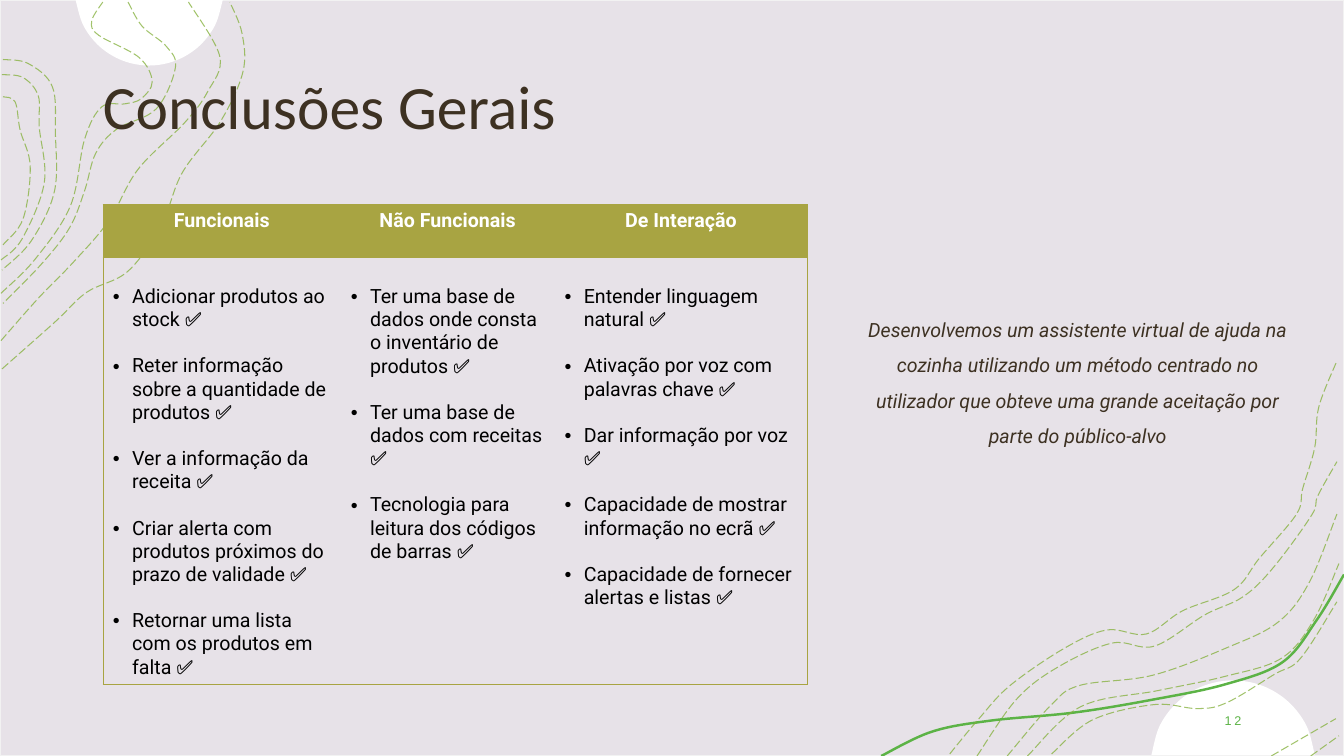
from math import asin, cos, sin

from lxml.etree import SubElement
from pptx import Presentation
from pptx.dml.color import RGBColor
from pptx.enum.dml import MSO_LINE
from pptx.enum.shapes import MSO_SHAPE
from pptx.enum.text import MSO_ANCHOR, MSO_AUTO_SIZE, PP_ALIGN
from pptx.oxml.ns import qn
from pptx.util import Inches, Pt

COLUMNS, ROWS = 13.33, 7.5
CELL = Inches(1)
LILAC, OLIVE, GREEN, LEAF = "E7E2E8", "A8A442", "5CB346", "83B03A"
BROWN, BLACK, WHITE, FRAME = "3D3122", "000000", "FFFFFF", "F2F2F2"

TOP_LEFT_CONTOURS = [
    [(0.02, 3.66), (0.55, 3.19), (0.86, 2.9), (1.27, 2.69), (1.6, 2.23), (1.81, 1.71), (2.19, 1.2),
     (2.41, 0.71), (2.4, 0.33), (2.28, 0.02)],
    [(0.01, 3.38), (0.38, 2.96), (0.73, 2.6), (1.08, 2.19), (1.37, 1.68), (1.83, 1.22), (2.06, 0.91),
     (2.18, 0.56), (1.87, 0.02)],
    [(1.27, 0.02), (1.41, 0.26), (1.65, 0.46), (1.74, 0.67), (1.55, 1.08), (1.16, 1.28), (0.95, 1.52),
     (0.84, 1.89), (0.69, 2.26), (0.42, 2.61), (0.03, 3.01)],
    [(0.01, 2.91), (0.35, 2.57), (0.7, 2.04), (0.84, 1.38), (1.01, 1.06), (1.24, 1.03), (1.4, 0.98),
     (1.51, 0.81), (1.38, 0.57), (0.98, 0.35), (0.91, 0.21), (1.02, 0.02)],
    [(0.03, 0.59), (0.28, 0.63), (0.52, 0.86), (0.55, 1.32), (0.54, 1.9), (0.31, 2.39), (0.02, 2.68)],
    [(0.02, 0.74), (0.23, 0.77), (0.38, 0.95), (0.39, 1.26), (0.44, 1.81), (0.22, 2.37), (0.01, 2.58)],
    [(0.03, 0.96), (0.15, 1.01), (0.2, 1.29), (0.3, 1.65), (0.23, 2.17), (0.03, 2.43)],
]
BOTTOM_RIGHT_CONTOURS = [
    [(9.42, 7.48), (9.71, 7.13), (10.02, 6.8), (10.56, 6.43), (10.98, 6.25), (11.37, 6.29), (11.73, 6.06),
     (12.24, 5.85), (12.49, 5.54), (12.86, 5.1), (12.92, 4.85), (13.04, 4.44), (13.08, 4.04), (13.26, 3.58)],
    [(9.69, 7.5), (10.08, 6.94), (10.49, 6.62), (11.03, 6.38), (11.45, 6.41), (11.95, 6.1), (12.33, 5.92),
     (12.63, 5.63), (13.01, 5.11), (13.07, 4.92), (13.26, 4.58)],
    [(13, 7.5), (13.28, 7.3)],
    [(12.61, 7.5), (13.25, 7.13)],
    [(10.43, 7.48), (10.84, 7.14), (11.45, 6.99), (11.88, 7.03), (12.17, 6.97), (12.64, 6.69),
     (12.9, 6.53), (13.26, 5.97)],
    [(10.19, 7.5), (10.72, 7.01), (11.49, 6.85), (12.15, 6.71), (12.71, 6.53), (13.03, 6.15), (13.28, 5.59)],
    [(9.99, 7.5), (10.42, 7), (10.71, 6.8), (11.43, 6.7), (12.16, 6.43), (12.68, 6.17), (12.99, 5.77),
     (13.26, 5.1)],
]
STEM = [(8.74, 7.5), (9.24, 7.26), (9.82, 7.15), (10.65, 7.07), (11.44, 6.94), (12.15, 6.79),
        (12.72, 6.57), (13.06, 6.15), (13.33, 5.7)]

REQUIREMENTS = [
    ("Funcionais", 2.36, [
        "Adicionar produtos ao stock ✅",
        "Reter informação sobre a quantidade de produtos ✅",
        "Ver a informação da receita ✅",
        "Criar alerta com produtos próximos do prazo de validade ✅",
        "Retornar uma lista com os produtos em falta ✅"]),
    ("Não Funcionais", 2.12, [
        "Ter uma base de dados onde consta o inventário de produtos ✅",
        "Ter uma base de dados com receitas ✅",
        "Tecnologia para leitura dos códigos de barras ✅"]),
    ("De Interação", 2.51, [
        "Entender linguagem natural ✅",
        "Ativação por voz com palavras chave ✅",
        "Dar informação por voz ✅",
        "Capacidade de mostrar informação no ecrã ✅",
        "Capacidade de fornecer alertas e listas ✅"]),
]
SUMMARY = ("Desenvolvemos um assistente virtual de ajuda na cozinha utilizando um método centrado no "
           "utilizador que obteve uma grande aceitação por parte do público-alvo")


def grid(*cells):
    return [int(cell * CELL) for cell in cells]


def paint(target, color):
    target.solid()
    target.fore_color.rgb = RGBColor.from_string(color)


def write(paragraph, text, size, font, color, bold=False, italic=False):
    run = paragraph.add_run()
    run.text = text
    run.font.size, run.font.name = Pt(size), font
    run.font.bold, run.font.italic = bold, italic
    paint(run.font.fill, color)
    return run


def bend(shape):
    anchors = [(int(point.get("x")), int(point.get("y"))) for point in shape._element.iter(qn("a:pt"))]
    padded = [anchors[0], *anchors, anchors[-1]]
    segments = list(shape._element.iter(qn("a:lnTo")))
    for segment, a, b, c, d in zip(segments, padded, padded[1:], padded[2:], padded[3:]):
        leaving = [q + (r - p) // 6 for p, q, r in zip(a, b, c)]
        arriving = [r - (s - q) // 6 for q, r, s in zip(b, c, d)]
        segment.tag = qn("a:cubicBezTo")
        for index, (x, y) in enumerate((leaving, arriving)):
            segment.insert(index, SubElement(segment, qn("a:pt"), x=str(x), y=str(y)))


def outline(shapes, anchors, close=False):
    corners = [grid(*anchor) for anchor in anchors]
    builder = shapes.build_freeform(*corners[0])
    builder.add_line_segments(corners[1:], close=close)
    shape = builder.convert_to_shape()
    shape.shadow.inherit = False
    bend(shape)
    return shape


def draw_curve(shapes, anchors, color, width):
    curve = outline(shapes, anchors)
    curve.fill.background()
    paint(curve.line.fill, color)
    curve.line.width = Pt(width)
    return curve


def draw_contours(slide, contours):
    group = slide.shapes.add_group_shape()
    for anchors in contours:
        contour = draw_curve(group.shapes, anchors, LEAF, 0.75)
        contour.line.dash_style = MSO_LINE.LONG_DASH
        tint = contour.line._ln.find(".//" + qn("a:srgbClr"))
        SubElement(tint, qn("a:alpha"), val="75000")


def draw_cap(slide, center, edge, half_chord, depth, steps=8):
    radius = (half_chord**2 + depth**2) / (2 * abs(depth))
    inward = 1 if depth > 0 else -1
    middle = edge + depth - inward * radius
    reach = asin(half_chord / radius)
    angles = [reach * (2 * step / steps - 1) for step in range(steps + 1)]
    cap = outline(slide.shapes, [(center + radius * sin(angle), middle + inward * radius * cos(angle))
                                 for angle in angles], close=True)
    paint(cap.fill, WHITE)
    cap.line.fill.background()


def draw_backdrop(slide):
    backdrop = slide.shapes.add_shape(MSO_SHAPE.RECTANGLE, *grid(0, 0, COLUMNS, ROWS))
    backdrop.shadow.inherit = False
    paint(backdrop.fill, LILAC)
    paint(backdrop.line.fill, FRAME)
    backdrop.line.width = Pt(1)


def place_title(slide, text):
    title = slide.shapes.title
    slide.shapes._spTree.append(title._element)
    title.left, title.top, title.width, title.height = grid(0.92, 0.32, 11.5, 1.45)
    title.text_frame.vertical_anchor = MSO_ANCHOR.MIDDLE
    heading = title.text_frame.paragraphs[0]
    heading.alignment = PP_ALIGN.LEFT
    write(heading, text, 44, "Calibri", BROWN)


def add_text(slide, place, inset, alignment):
    frame = slide.shapes.add_textbox(*grid(*place)).text_frame
    frame.word_wrap = True
    frame.margin_left = frame.margin_right = Inches(inset)
    frame.paragraphs[0].alignment = alignment
    return frame


def finish_cell(cell, sides, fill=None):
    properties = cell._tc.get_or_add_tcPr()
    for side in "LRTB":
        border = SubElement(properties, qn("a:ln" + side), w=str(Pt(0.5)))
        if side in sides:
            color = SubElement(border, qn("a:solidFill"))
            SubElement(color, qn("a:srgbClr"), val=OLIVE)
        else:
            SubElement(border, qn("a:noFill"))
    if fill:
        paint(cell.fill, fill)
    else:
        cell.fill.background()


def add_bullet(paragraph, text, first):
    properties = paragraph._p.get_or_add_pPr()
    properties.set("marL", str(Inches(0.19)))
    properties.set("indent", str(-Inches(0.19)))
    SubElement(properties, qn("a:buFont"), typeface="Arial")
    SubElement(properties, qn("a:buChar"), char="•")
    paragraph.space_before = Pt(0 if first else 16.5)
    write(paragraph, text, 14, "Roboto", BLACK)


def add_requirements(slide):
    total = sum(width for _, width, _ in REQUIREMENTS)
    table = slide.shapes.add_table(2, len(REQUIREMENTS), *grid(1.02, 2.03, total, 4.76)).table
    table.horz_banding = False
    table.rows[0].height, table.rows[1].height = grid(0.52, 4.24)
    for index, (kind, width, needs) in enumerate(REQUIREMENTS):
        table.columns[index].width = Inches(width)
        edge = {0: "L", len(REQUIREMENTS) - 1: "R"}.get(index, "")
        header, body = table.cell(0, index), table.cell(1, index)
        finish_cell(header, "T" + edge, OLIVE)
        finish_cell(body, "TB" + edge)
        heading = header.text_frame.paragraphs[0]
        heading.alignment = PP_ALIGN.CENTER
        write(heading, kind, 14, "Roboto", WHITE, bold=True)
        body.margin_top = Inches(0.28)
        frame = body.text_frame
        for order, need in enumerate(needs):
            add_bullet(frame.add_paragraph() if order else frame.paragraphs[0], need, order == 0)


def main():
    deck = Presentation()
    deck.slide_width, deck.slide_height = grid(COLUMNS, ROWS)
    slide = deck.slides.add_slide(deck.slide_layouts[5])
    draw_backdrop(slide)
    draw_cap(slide, 1.48, 0, 0.73, 0.65)
    draw_cap(slide, 12.23, 7.49, 0.81, -0.74)
    draw_curve(slide.shapes, STEM, GREEN, 1.75)
    draw_contours(slide, TOP_LEFT_CONTOURS)
    draw_contours(slide, BOTTOM_RIGHT_CONTOURS)
    place_title(slide, "Conclusões Gerais")
    add_requirements(slide)
    number = add_text(slide, (10.83, 6.95, 1.58, 0.4), 0.1, PP_ALIGN.RIGHT)
    number.vertical_anchor = MSO_ANCHOR.MIDDLE
    digits = write(number.paragraphs[0], "12", 9, "Arial", GREEN)
    digits.font._element.set("spc", "200")
    summary = add_text(slide, (8.54, 2.99, 4.3, 1.51), 0.05, PP_ALIGN.CENTER)
    summary.auto_size = MSO_AUTO_SIZE.SHAPE_TO_FIT_TEXT
    summary.paragraphs[0].line_spacing = 1.5
    write(summary.paragraphs[0], SUMMARY, 14, "Roboto", BROWN, italic=True)
    deck.save("out.pptx")


if __name__ == "__main__":
    main()
